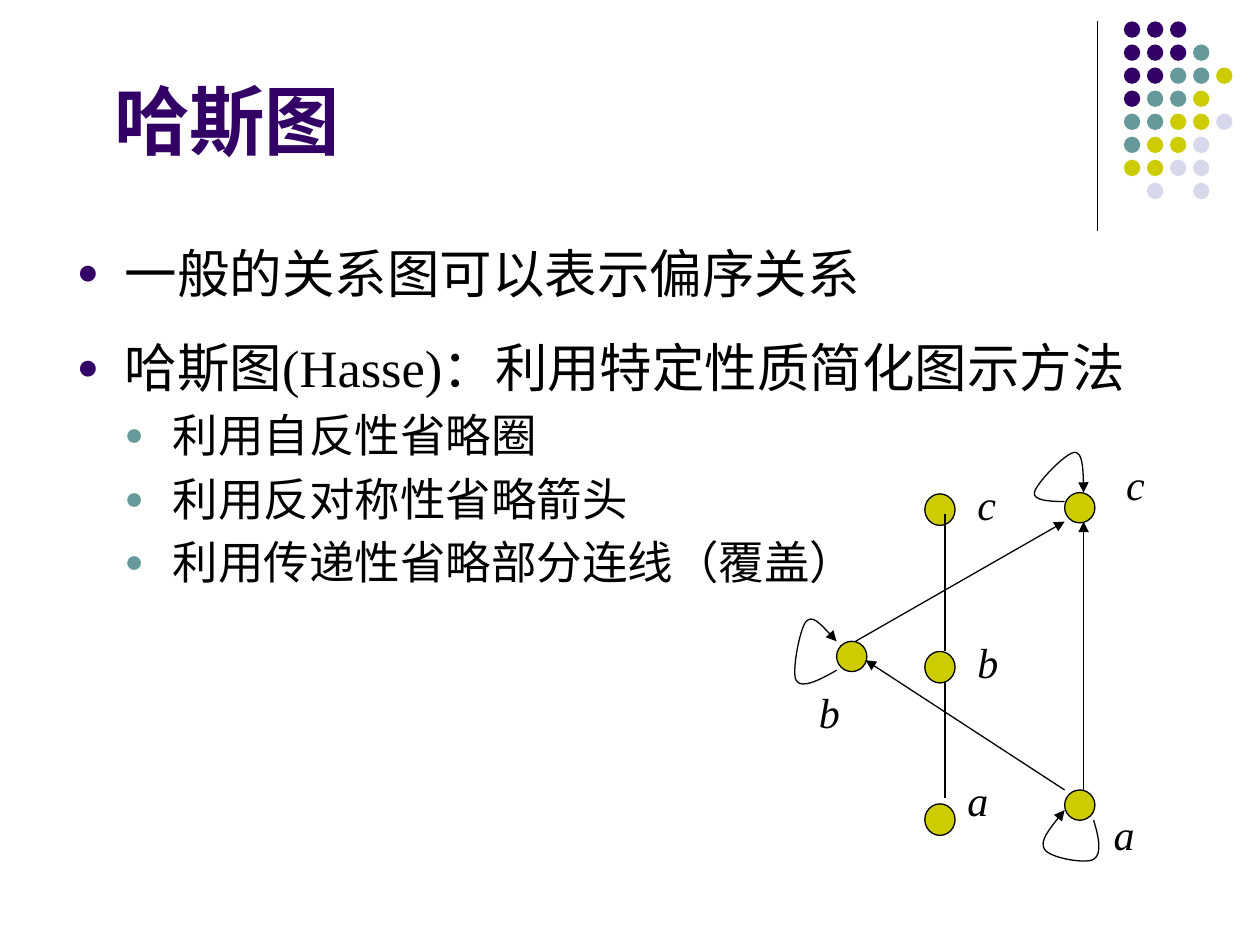
from lxml import etree
from pptx import Presentation, util as u
from pptx.dml.color import RGBColor
from pptx.enum import shapes, text
from pptx.oxml.ns import qn

FONT = "Times New Roman"
COLORS = {"purple": "330066", "teal": "669999", "olive": "CCCC00", "lilac": "D8D8EC", "black": "000000"}

TITLE = "哈斯图"
BODY = [
    (0, 0, "一般的关系图可以表示偏序关系"),
    (0, 18, "哈斯图(Hasse)：利用特定性质简化图示方法"),
    (1, 5.2, "利用自反性省略圈"),
    (1, 5.2, "利用反对称性省略箭头"),
    (1, 5.2, "利用传递性省略部分连线（覆盖）"),
]
LEVELS = [(30, "purple"), (26, "teal")]

DOT_ROWS = ["PPP", "PPPT", "PPTTO", "PTTO", "TTOOL", "TOOL", "OOLL", " L L"]
DOT_COLORS = {"P": "purple", "T": "teal", "O": "olive", "L": "lilac"}
DOT_LEFT, DOT_TOP, DOT_STEP, DOT_SIZE = 8.92, 0.17, 0.183, 0.13

LOOPS = [
    [(8.68, 6.51), (8.72, 6.64), (8.75, 6.78), (8.68, 6.82), (8.62, 6.86),
     (8.33, 6.81), (8.29, 6.74), (8.25, 6.68), (8.35, 6.55), (8.45, 6.43)],
    [(6.64, 5.32), (6.5, 5.4), (6.36, 5.47), (6.32, 5.4), (6.28, 5.34),
     (6.35, 4.98), (6.4, 4.93), (6.45, 4.88), (6.54, 4.98), (6.64, 5.09)],
    [(8.45, 3.98), (8.32, 3.98), (8.2, 3.97), (8.21, 3.91), (8.22, 3.84),
     (8.46, 3.59), (8.53, 3.59), (8.59, 3.59), (8.6, 3.75), (8.6, 3.91)],
]
RELATION = {
    "labels": [("a", 8.74, 6.37), ("b", 6.4, 5.4), ("c", 8.84, 3.59)],
    "nodes": [(8.45, 6.27), (6.64, 5.09), (8.45, 3.91)],
    "node_height": 0.24,
    "edges": [(8.45, 6.27, 6.87, 5.24), (6.79, 5.09, 8.45, 4.14), (8.6, 6.27, 8.6, 4.14)],
    "arrow": True,
}
HASSE = {
    "labels": [("a", 7.58, 6.1), ("b", 7.66, 5), ("c", 7.66, 3.75)],
    "nodes": [(7.34, 6.38), (7.34, 5.17), (7.34, 3.92)],
    "node_height": 0.25,
    "edges": [(7.5, 6.33, 7.5, 5.41), (7.5, 5.17, 7.5, 4.08)],
    "arrow": False,
}


def color(name):
    return RGBColor.from_string(COLORS[name])


def set_font(font, size, name, bold=False, italic=False):
    font.name, font.size, font.bold, font.italic = FONT, u.Pt(size), bold, italic
    font.color.rgb = color(name)


def place(shape, left, top, width, height):
    shape.left, shape.top = u.Inches(left), u.Inches(top)
    shape.width, shape.height = u.Inches(width), u.Inches(height)


def outline(shape, arrow=False):
    shape.line.color.rgb = color("black")
    shape.line.width = u.Pt(0.75)
    if arrow:
        etree.SubElement(shape.line._get_or_add_ln(), qn("a:tailEnd"), type="triangle")


def add_dot(page, left, top, width, height, fill):
    dot = page.shapes.add_shape(shapes.MSO_SHAPE.OVAL, *map(u.Inches, (left, top, width, height)))
    dot.shadow.inherit = False
    dot.fill.solid()
    dot.fill.fore_color.rgb = color(fill)
    dot.line.fill.background()
    return dot


def add_line(page, ends, arrow=False):
    line = page.shapes.add_connector(shapes.MSO_CONNECTOR.STRAIGHT, *map(u.Inches, ends))
    outline(line, arrow)
    etree.SubElement(line._element.spPr, qn("a:effectLst"))


def add_loop(page, points):
    points = [(u.Inches(x), u.Inches(y)) for x, y in points]
    builder = page.shapes.build_freeform(*points[0])
    builder.add_line_segments(points[1:], close=False)
    loop = builder.convert_to_shape()
    loop.shadow.inherit = False
    loop.fill.background()
    outline(loop, arrow=True)
    path = next(loop._element.iter(qn("a:path")))
    segments = path.findall(qn("a:lnTo"))
    for start in range(0, len(segments), 3):
        curve = etree.SubElement(path, qn("a:cubicBezTo"))
        for segment in segments[start:start + 3]:
            curve.append(segment[0])
            path.remove(segment)


def add_label(page, letter, left, top):
    box = page.shapes.add_textbox(*map(u.Inches, (left, top, 0.37, 0.5)))
    box.text_frame.word_wrap = False
    box.text_frame.auto_size = text.MSO_AUTO_SIZE.SHAPE_TO_FIT_TEXT
    para = box.text_frame.paragraphs[0]
    para.text = letter
    set_font(para.font, 24, "black", italic=True)


def add_graph(page, graph):
    for label in graph["labels"]:
        add_label(page, *label)
    for left, top in graph["nodes"]:
        outline(add_dot(page, left, top, 0.24, graph["node_height"], "olive"))
    for ends in graph["edges"]:
        add_line(page, ends, graph["arrow"])


def add_bullet(para, level, name):
    props = para._p.get_or_add_pPr()
    props.set("marL", str(u.Inches(0.38 * (level + 1))))
    props.set("indent", str(u.Inches(-0.38)))
    bullet_color = etree.SubElement(props, qn("a:buClr"))
    etree.SubElement(bullet_color, qn("a:srgbClr"), val=COLORS[name])
    etree.SubElement(props, qn("a:buSzPct"), val="70000")
    etree.SubElement(props, qn("a:buChar"), char="●")


def fill_title(title):
    place(title, 0.81, 0.23, 7.15, 1.13)
    frame = title.text_frame
    frame.auto_size = text.MSO_AUTO_SIZE.NONE
    frame.vertical_anchor = text.MSO_ANCHOR.BOTTOM
    para = frame.paragraphs[0]
    para.text = TITLE
    para.alignment = text.PP_ALIGN.LEFT
    set_font(para.font, 43, "purple", bold=True)


def fill_body(body):
    place(body, 0.51, 1.86, 8.98, 4.32)
    frame = body.text_frame
    frame.auto_size = text.MSO_AUTO_SIZE.NONE
    for index, (level, space, words) in enumerate(BODY):
        para = frame.add_paragraph() if index else frame.paragraphs[0]
        size, bullet = LEVELS[level]
        para.text, para.level = words, level
        para.alignment = text.PP_ALIGN.JUSTIFY
        para.space_before = u.Pt(space)
        add_bullet(para, level, bullet)
        set_font(para.font, size, "black")


def main():
    deck = Presentation()
    deck.slide_width, deck.slide_height = u.Inches(10), u.Inches(7.5)
    page = deck.slides.add_slide(deck.slide_layouts[1])
    fill_title(page.shapes.title)
    fill_body(page.placeholders[1])
    add_line(page, (8.71, 0.17, 8.71, 1.83))
    for row, dots in enumerate(DOT_ROWS):
        for column, key in enumerate(dots):
            if key in DOT_COLORS:
                add_dot(page, DOT_LEFT + column * DOT_STEP, DOT_TOP + row * DOT_STEP,
                        DOT_SIZE, DOT_SIZE, DOT_COLORS[key])
    for points in LOOPS:
        add_loop(page, points)
    add_graph(page, RELATION)
    add_graph(page, HASSE)
    deck.save("out.pptx")


if __name__ == "__main__":
    main()
